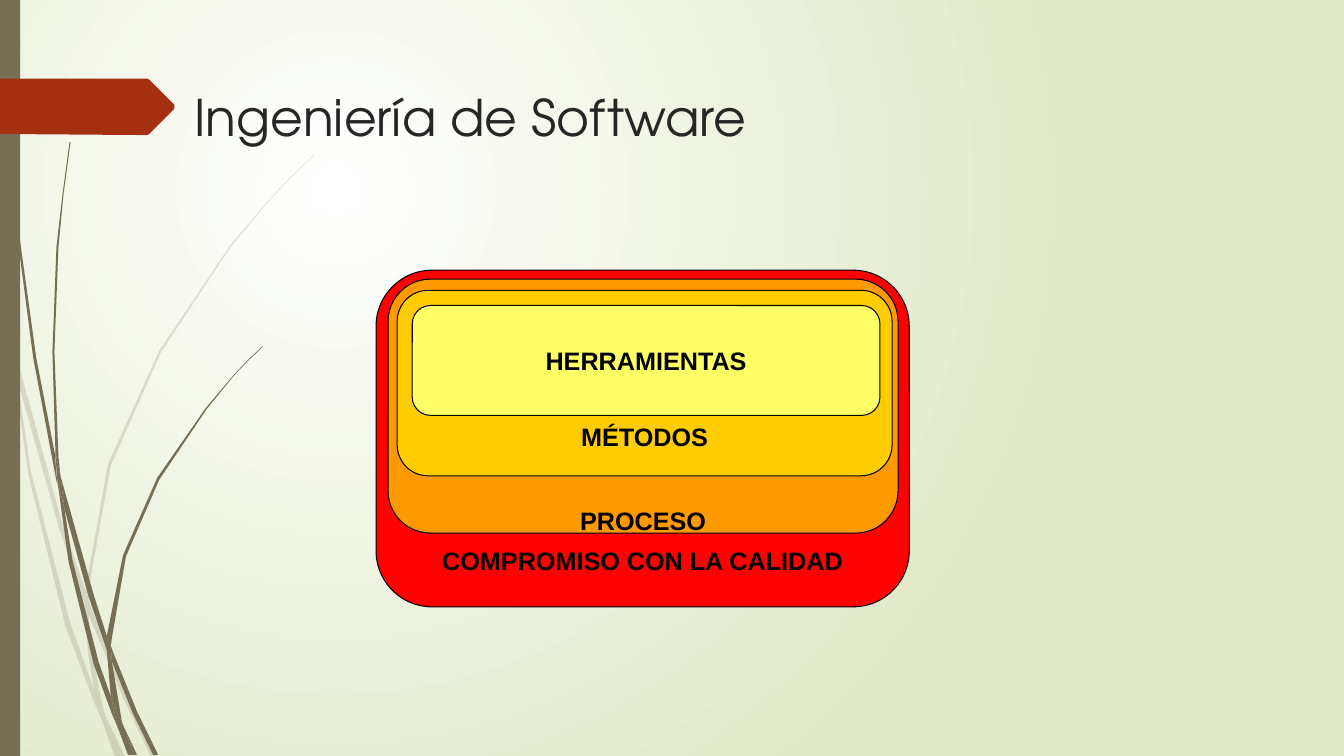
from lxml.etree import SubElement
from pptx import Presentation
from pptx.dml.color import RGBColor
from pptx.enum.shapes import MSO_SHAPE
from pptx.enum.text import MSO_ANCHOR, PP_ALIGN
from pptx.oxml.ns import qn
from pptx.util import Pt

COLORS = {
    "white": "FFFFFF", "mist": "DFE8C4", "olive": "766F54", "rust": "A53010",
    "ink": "262626", "black": "000000", "red": "FF0000", "orange": "FF9900",
    "gold": "FFCC00", "lemon": "FFFF66",
}
UNIT = Pt(0.72)  # grid step of the outlines below

PALE = [  # faint blades of grass, piece by piece
    [(11, 350), (9, 322), (0, 282), (0, 299), (10, 344)],
    [(58, 522), (84, 599), (85, 586), (62, 520), (14, 345), (17, 376)],
    [(92, 607), (88, 596), (88, 610), (123, 694), (150, 751), (155, 751),
     (127, 692)],
    [(119, 751), (124, 751), (105, 711)],
    [(93, 683), (70, 619), (31, 469), (17, 376), (11, 350), (28, 470),
     (65, 621), (92, 693), (101, 714), (99, 707)],
    [(84, 599), (87, 646), (93, 683), (96, 692), (105, 711), (103, 706),
     (91, 646), (88, 610), (88, 608)],
    [(88, 584), (110, 462), (160, 349), (229, 245), (268, 198), (290, 175),
     (312, 154), (312, 153), (289, 175), (268, 197), (228, 244), (158, 348),
     (107, 461), (85, 584), (85, 586), (88, 596)],
    [(101, 714), (114, 751), (119, 751)],
    [(88, 608), (88, 610), (88, 596), (85, 586), (84, 599)],
    [(96, 692), (93, 683), (99, 707), (101, 714), (119, 751), (105, 711)],
]
DARK = [  # solid blades of grass
    [(7, 110), (17, 233), (33, 355), (56, 477), (57, 481), (55, 457),
     (55, 453), (36, 355), (19, 232), (8, 109), (5, 48), (4, 0), (3, 0),
     (4, 48)],
    [(88, 592), (106, 645), (106, 633), (106, 631), (93, 590), (60, 472),
     (64, 505)],
    [(113, 649), (110, 641), (111, 656), (132, 708), (152, 749), (157, 749),
     (136, 706)],
    [(110, 691), (98, 657), (72, 556), (64, 505), (57, 477), (68, 557),
     (93, 659), (111, 708), (117, 722), (116, 717)],
    [(60, 472), (58, 453), (54, 349), (58, 245), (63, 193), (70, 141),
     (69, 141), (62, 193), (56, 245), (52, 349), (55, 449)],
    [(133, 749), (136, 749), (122, 719)],
    [(57, 477), (64, 505), (60, 472), (55, 449), (55, 453)],
    [(111, 633), (125, 552), (158, 476), (205, 406), (231, 374), (245, 359),
     (261, 344), (260, 344), (245, 358), (231, 373), (204, 405), (156, 474),
     (122, 551), (106, 631), (110, 641)],
    [(117, 722), (127, 749), (131, 749)],
    [(106, 645), (110, 691), (116, 706), (122, 719), (121, 716), (111, 656),
     (109, 651)],
    [(106, 645), (109, 651), (111, 656), (110, 641), (106, 631), (106, 633)],
    [(116, 706), (110, 691), (116, 717), (117, 722), (130, 749), (133, 749),
     (122, 719)],
]
ARROW = [(0, 78), (146, 78), (148, 79), (173, 104), (173, 108), (148, 133),
         (146, 134), (136, 134), (0, 133)]
LAYERS = [  # text, fill, left, top, width, height, top inset
    ("COMPROMISO CON LA CALIDAD", "red", 268.6, 193, 380.9, 240.5, 184.5),
    ("PROCESO", "orange", 277.2, 199.4, 364.3, 181.4, 152.8),
    ("MÉTODOS", "gold", 283.7, 207.4, 353.5, 132.5, 87.2),
    ("HERRAMIENTAS", "lemon", 294.5, 218.2, 334.1, 78.5, 24.7),
]


def tint(name):
    return RGBColor.from_string(COLORS[name])


class Deck:
    def __init__(self):
        self.file = Presentation()
        self.file.slide_width, self.file.slide_height = Pt(960), Pt(540)
        self.slide = self.file.slides.add_slide(self.file.slide_layouts[6])
        self.shapes = self.slide.shapes

    def glow(self, inner, outer):
        """Fill the background with a round gradient, centred upper left."""
        fill = self.slide.background.fill
        fill.gradient()
        for stop, name, place in zip(fill.gradient_stops, (inner, outer), (0, 1)):
            stop.color.rgb = tint(name)
            stop.position = place
        grad = self.slide.element.find(".//" + qn("a:gradFill"))
        line = grad.find(qn("a:lin"))
        ring = SubElement(grad, qn("a:path"), {"path": "circle"})
        SubElement(ring, qn("a:fillToRect"),
                   {"l": "50000", "t": "50000", "r": "100000", "b": "100000"})
        grad.replace(line, ring)

    def paint(self, shape, name):
        shape.shadow.inherit = False
        shape.fill.solid()
        shape.fill.fore_color.rgb = tint(name)
        shape.line.fill.background()

    def shape(self, kind, name, *area):
        shape = self.shapes.add_shape(kind, *map(Pt, area))
        self.paint(shape, name)
        return shape

    def outline(self, points, name, alpha=None):
        pen = self.shapes.build_freeform(*points[0], scale=UNIT)
        pen.add_line_segments(points[1:], close=True)
        shape = pen.convert_to_shape()
        self.paint(shape, name)
        if alpha:
            color = shape.element.spPr.find(".//" + qn("a:srgbClr"))
            SubElement(color, qn("a:alpha"), {"val": str(alpha * 1000)})

    def label(self, frame, text, face, size, name, bold=False):
        frame.word_wrap = True
        frame.vertical_anchor = MSO_ANCHOR.TOP
        para = frame.paragraphs[0]
        para.text = text
        font = para.font
        font.name, font.size, font.bold = face, Pt(size), bold
        font.color.rgb = tint(name)
        return para

    def title(self, text, *area):
        box = self.shapes.add_textbox(*map(Pt, area))
        self.label(box.text_frame, text, "TeX Gyre Adventor", 36, "ink")

    def layer(self, text, name, left, top, width, height, inset):
        shape = self.shape(MSO_SHAPE.ROUNDED_RECTANGLE, name,
                           left, top, width, height)
        shape.line.color.rgb = tint("black")
        shape.line.width = Pt(0.75)
        frame = shape.text_frame
        frame.margin_top, frame.margin_bottom = Pt(inset), Pt(0)
        para = self.label(frame, text, "Arial", 18, "black", True)
        para.alignment = PP_ALIGN.CENTER


def main():
    deck = Deck()
    deck.glow("white", "mist")
    for blade in PALE:
        deck.outline(blade, "olive", 20)
    for blade in DARK:
        deck.outline(blade, "olive")
    deck.shape(MSO_SHAPE.RECTANGLE, "olive", 0, 0, 14.4, 540)
    deck.outline(ARROW, "rust")
    deck.title("Ingeniería de Software", 131.8, 58.3, 765.4, 118.1)
    for layer in LAYERS:
        deck.layer(*layer)
    deck.file.save("out.pptx")


if __name__ == "__main__":
    main()
